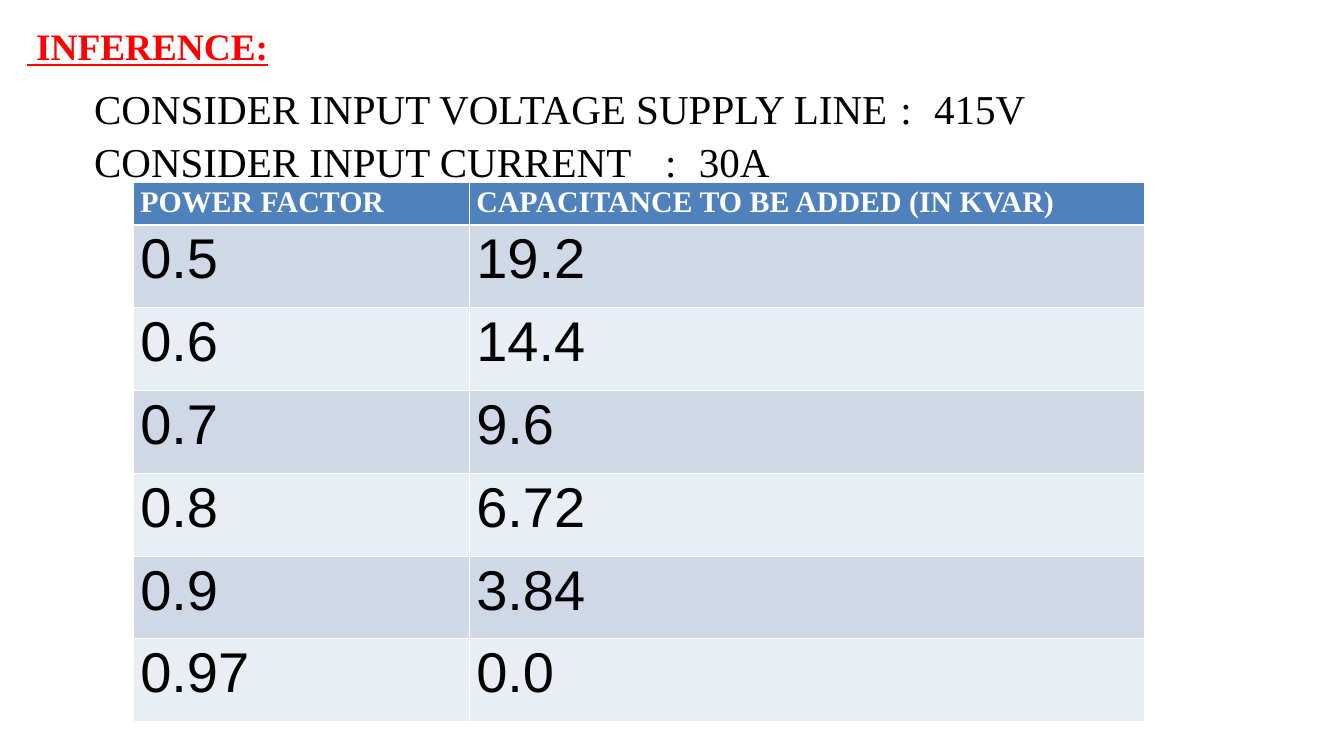
from dataclasses import dataclass

from lxml.etree import SubElement
from pptx import Presentation
from pptx.dml.color import RGBColor
from pptx.enum.text import MSO_ANCHOR, MSO_AUTO_SIZE, PP_ALIGN
from pptx.oxml.ns import qn
from pptx.util import Cm, Pt


@dataclass(frozen=True)
class Theme:
    serif: str = "Times New Roman"
    sans: str = "Arial"
    red: str = "FF0000"
    black: str = "000000"
    white: str = "FFFFFF"
    head: str = "4F81BD"
    bands: tuple = ("D0D8E8", "E9EDF4")
    title: int = 40
    body: int = 44
    label: int = 32
    value: int = 60


theme = Theme()


def style(par, font, size, color, bold=False, line=False):
    for run in par.runs:
        run.font.name = font
        run.font.size = Pt(size)
        run.font.bold = bold
        run.font.underline = line
        run.font.color.rgb = RGBColor.from_string(color)


def place(shape, left, top, width, height):
    shape.left, shape.top = Cm(left), Cm(top)
    shape.width, shape.height = Cm(width), Cm(height)
    frame = shape.text_frame
    frame.word_wrap = True
    frame.auto_size = MSO_AUTO_SIZE.NONE
    frame.vertical_anchor = MSO_ANCHOR.TOP
    return frame


deck = Presentation()
deck.slide_width, deck.slide_height = Cm(50.8), Cm(28.58)
slide = deck.slides.add_slide(deck.slide_layouts[1])

# Title
frame = place(slide.shapes.title, 0.76, 0.64, 49.86, 1.96)
frame.text = " INFERENCE:"
par = frame.paragraphs[0]
par.alignment = PP_ALIGN.LEFT
par.line_spacing = 1.07
style(par, theme.serif, theme.title, theme.red, bold=True, line=True)

# Input values, with colons and values on shared tab stops
frame = place(slide.placeholders[1], 3.3, 2.9, 42.42, 4.01)
frame.text = ("CONSIDER INPUT VOLTAGE SUPPLY LINE\t:\t415V\n"
              "CONSIDER INPUT CURRENT\t:\t30A")
for par in frame.paragraphs:
    props = par._p.get_or_add_pPr()
    props.set("marL", "0")
    props.set("indent", "0")
    SubElement(props, qn("a:buNone"))
    tabs = SubElement(props, qn("a:tabLst"))
    for stop in (30.55, 32.5):
        SubElement(tabs, qn("a:tab"), pos=str(Cm(stop)), algn="l")
    par.space_before = Pt(0)
    par.line_spacing = 1.07
    style(par, theme.serif, theme.body, theme.black)

# Capacitance table
rows = [
    ("POWER FACTOR", "CAPACITANCE TO BE ADDED (IN KVAR)"),
    ("0.5", "19.2"),
    ("0.6", "14.4"),
    ("0.7", "9.6"),
    ("0.8", "6.72"),
    ("0.9", "3.84"),
    ("0.97", "0.0"),
]
table = slide.shapes.add_table(
    len(rows), 2, Cm(5.05), Cm(6.91), Cm(38.2), Cm(20.37)).table
for col, width in zip(table.columns, (12.7, 25.5)):
    col.width = Cm(width)

for r, row in enumerate(rows):
    table.rows[r].height = Cm(3.13 if r else 1.59)
    for c, text in enumerate(row):
        cell = table.cell(r, c)
        cell.text = text
        par = cell.text_frame.paragraphs[0]
        if r:
            style(par, theme.sans, theme.value, theme.black)
        else:
            style(par, theme.serif, theme.label, theme.white, bold=True)

        # White borders, thick between header and values
        props = cell._tc.get_or_add_tcPr()
        for side in "LRTB":
            thick = (r, side) in ((0, "B"), (1, "T"))
            edge = SubElement(props, qn(f"a:ln{side}"),
                              w=str(Pt(3 if thick else 1)))
            fill = SubElement(edge, qn("a:solidFill"))
            SubElement(fill, qn("a:srgbClr"), val=theme.white)

        # Header colour, then alternating bands
        cell.fill.solid()
        color = theme.bands[(r - 1) % 2] if r else theme.head
        cell.fill.fore_color.rgb = RGBColor.from_string(color)

deck.save("out.pptx")
